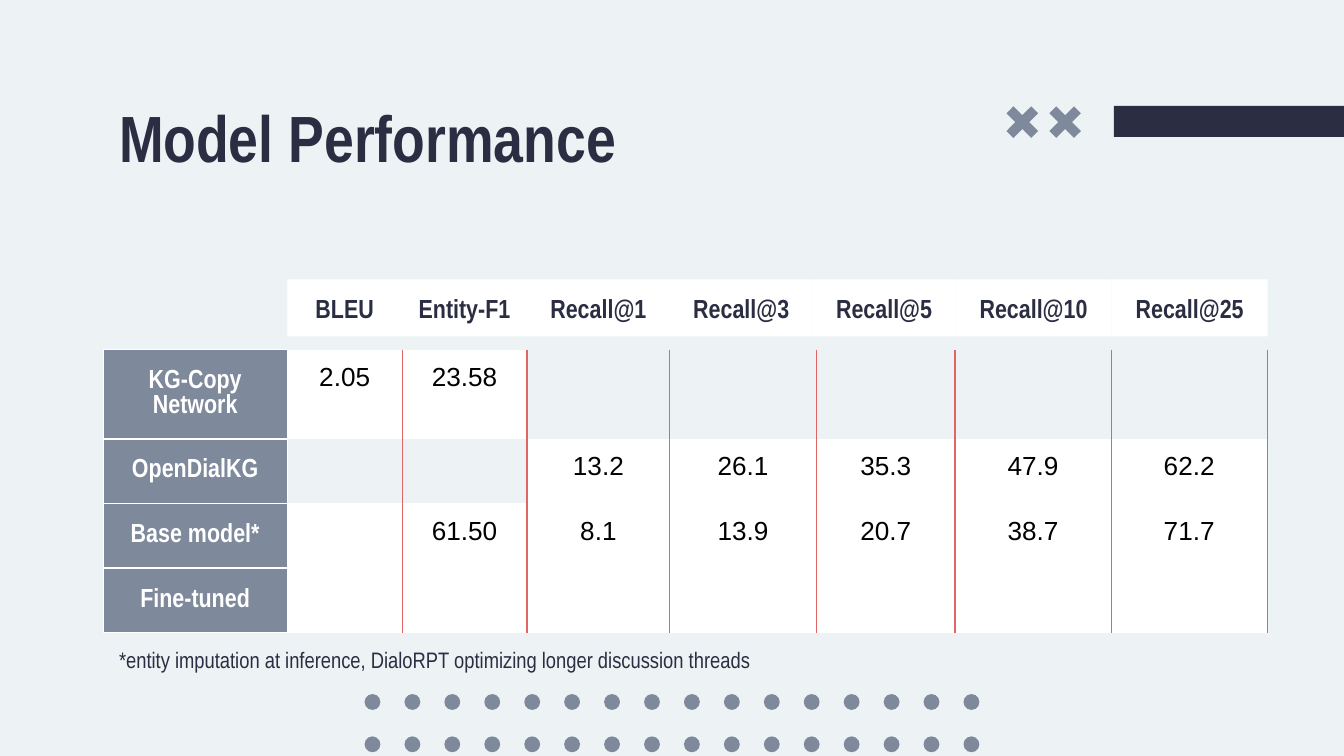
from itertools import accumulate

from lxml import etree
from pptx import Presentation
from pptx.dml.color import RGBColor as RGB
from pptx.enum.shapes import MSO_SHAPE as Kind
from pptx.enum.text import MSO_ANCHOR as Anchor, PP_ALIGN as Align
from pptx.oxml.ns import qn
from pptx.util import Cm, Pt

HUES = {"pale": "EDF2F4", "dark": "2B2D42", "slate": "7E899C",
        "white": "FFFFFF", "black": "000000", "red": "E06666"}

TITLE = {"name": "Arial Narrow", "size": Pt(35), "bold": True}
LABEL = {"name": "Arial Narrow", "size": Pt(14), "bold": True}
VALUE = {"name": "Arial", "size": Pt(14), "bold": False}
NOTE = {"name": "Arial Narrow", "size": Pt(12), "bold": False}

INSET = {f"margin_{side}": Cm(0.25) for side in ("left", "right", "top", "bottom")}

HEADS = {"BLEU": 2.17, "Entity-F1": 2.36, "Recall@1": 2.7, "Recall@3": 2.7,
         "Recall@5": 2.7, "Recall@10": 2.95, "Recall@25": 2.95}
COLS = [3.48, 2.17, 2.36, 2.7, 2.77, 2.62, 2.95, 2.95]
ROWS = [1.43, 1.22, 1.22, 1.22]
SCORES = [
    ["KG-Copy Network", "2.05", "23.58", "", "", "", "", ""],
    ["OpenDialKG", "", "", "13.2", "26.1", "35.3", "47.9", "62.2"],
    ["Base model*", "", "61.50", "8.1", "13.9", "20.7", "38.7", "71.7"],
    ["Fine-tuned", "", "", "", "", "", "", ""],
]
# Cells of these rows and columns take the page colour
BLANK = {0: range(3, 8), 1: range(1, 3)}


def tint(name):
    return RGB.from_string(HUES[name])


def apply(target, values):
    for key, value in values.items():
        setattr(target, key, value)


def write(para, text, style, hue, align=Align.LEFT):
    para.alignment = align
    if not text:
        para._p.get_or_add_endParaRPr().set("sz", str(int(style["size"].pt * 100)))
        return
    run = para.add_run()
    run.text = text
    apply(run.font, style)
    run.font.color.rgb = tint(hue)


def add_shape(slide, kind, box, hue):
    shape = slide.shapes.add_shape(kind, *map(Cm, box))
    shape.shadow.inherit = False
    shape.fill.solid()
    shape.fill.fore_color.rgb = tint(hue)
    shape.line.fill.background()
    return shape


def add_text(slide, box, text, style):
    frame = slide.shapes.add_textbox(*map(Cm, box)).text_frame
    apply(frame, {**INSET, "word_wrap": True, "vertical_anchor": Anchor.TOP})
    write(frame.paragraphs[0], text, style, "dark")


def add_head(slide, left, width, text):
    shape = add_shape(slide, Kind.RECTANGLE, (left, 5.28, width, 1.08), "white")
    frame = shape.text_frame
    apply(frame, {**INSET, "word_wrap": True, "vertical_anchor": Anchor.TOP})
    para = frame.paragraphs[0]
    para.space_after = Pt(16)
    write(para, text, LABEL, "dark", Align.CENTER)


def set_edges(cell, hues):
    props = cell._tc.get_or_add_tcPr()
    for spot, (side, hue) in enumerate(zip("LRTB", hues)):
        line = etree.Element(qn(f"a:ln{side}"), w=str(Pt(0.75)))
        if hue:
            fill = etree.SubElement(line, qn("a:solidFill"))
            etree.SubElement(fill, qn("a:srgbClr"), val=HUES[hue])
        else:
            etree.SubElement(line, qn("a:noFill"))
        props.insert(spot, line)


def fill_cell(cell, row, col, text):
    label = col == 0
    apply(cell, {**INSET, "vertical_anchor": Anchor.MIDDLE if label else Anchor.TOP})
    para = cell.text_frame.paragraphs[0]
    if label:
        write(para, text, LABEL, "white", Align.CENTER)
        hue, edges = "slate", ["white"] * 4
    else:
        write(para, text, VALUE, "black", Align.CENTER)
        hue = "pale" if col in BLANK.get(row, ()) else "white"
        edges = ["white" if col == 1 else "red", "red", None, None]
    cell.fill.solid()
    cell.fill.fore_color.rgb = tint(hue)
    set_edges(cell, edges)


def add_scores(slide):
    frame = slide.shapes.add_table(len(ROWS), len(COLS), Cm(1.95), Cm(6.61),
                                   Cm(sum(COLS)), Cm(sum(ROWS)))
    table = frame.table
    apply(table, {"first_row": False, "horz_banding": False})
    for col, width in zip(table.columns, COLS):
        col.width = Cm(width)
    for row, height in zip(table.rows, ROWS):
        row.height = Cm(height)
    for r, line in enumerate(SCORES):
        for c, text in enumerate(line):
            fill_cell(table.cell(r, c), r, c, text)


def add_decor(slide):
    # Bar and crosses at the top right
    add_shape(slide, Kind.RECTANGLE, (21.05, 2, 4.35, 0.59), "dark")
    for left in (18.99, 19.8):
        cross = add_shape(slide, Kind.CROSS, (left, 1.98, 0.66, 0.66), "slate")
        cross.adjustments[0] = 0.36
        cross.rotation = 45
    # Two rows of sixteen dots at the foot
    for top in (13.12, 13.92):
        for i in range(16):
            add_shape(slide, Kind.OVAL, (6.89 + 11.32 * i / 15, top, 0.3, 0.3), "slate")


def main():
    deck = Presentation()
    apply(deck, {"slide_width": Cm(25.4), "slide_height": Cm(14.29)})
    slide = deck.slides.add_slide(deck.slide_layouts[6])
    slide.background.fill.solid()
    slide.background.fill.fore_color.rgb = tint("pale")

    add_decor(slide)
    add_text(slide, (2, 1.58, 13.44, 1.57), "Model Performance", TITLE)

    # Scores with their column heads
    add_scores(slide)
    lefts = accumulate(HEADS.values(), initial=5.43)
    for left, (text, width) in zip(lefts, HEADS.items()):
        add_head(slide, left, width, text)

    # Footnote
    add_text(slide, (2, 11.96, 13.59, 1.09),
             "*entity imputation at inference, DialoRPT optimizing longer discussion threads",
             NOTE)
    deck.save("out.pptx")


if __name__ == "__main__":
    main()
